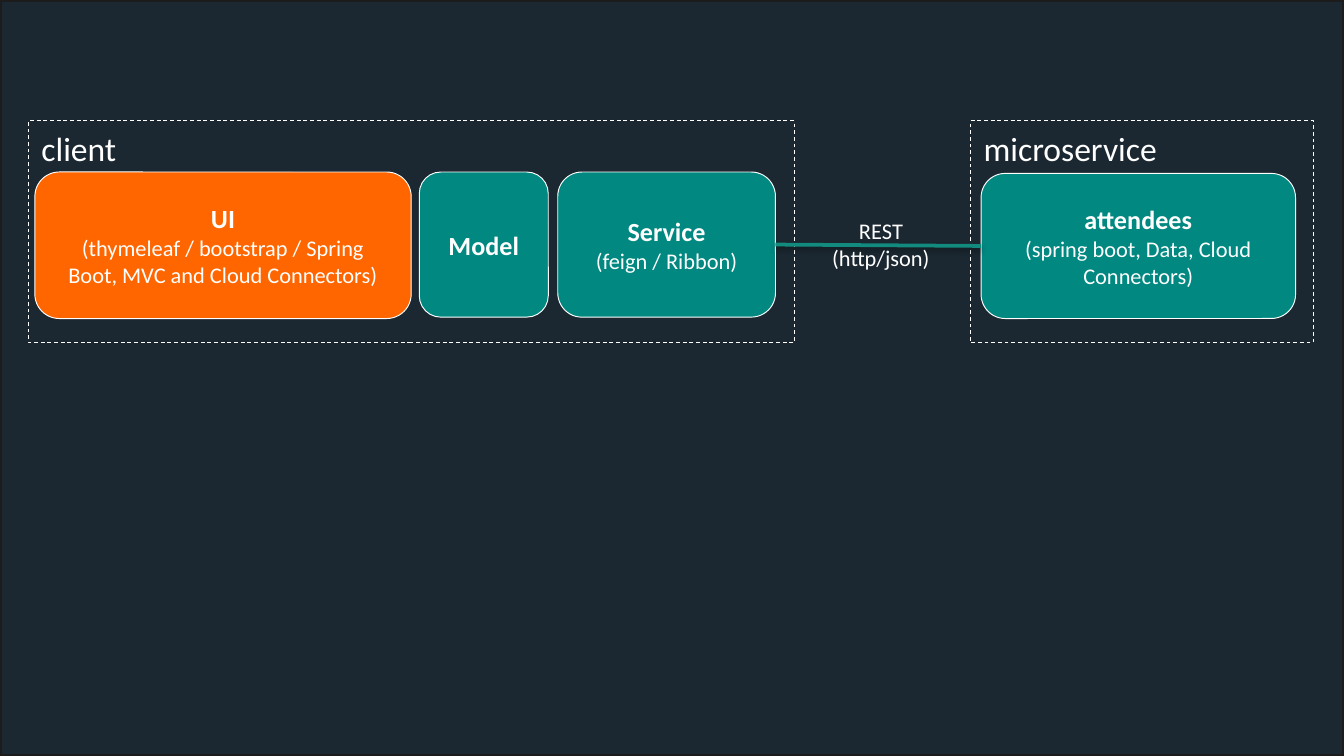
import pptx
import pptx.util
import pptx.dml.color
import pptx.enum.dml
import pptx.enum.shapes
import pptx.enum.text
import pptx.oxml
import pptx.oxml.ns

Inches, Pt = pptx.util.Inches, pptx.util.Pt
Shape = pptx.enum.shapes.MSO_SHAPE
Align = pptx.enum.text.PP_ALIGN
Anchor = pptx.enum.text.MSO_ANCHOR

HUES = {"night": "1B2831", "edge": "1C1C1C", "teal": "008881",
        "link": "138A7E", "orange": "FF6600", "white": "FFFFFF"}
HEAD = {"size": Pt(14), "bold": True}
BODY = {"size": Pt(12), "bold": False}
TITLE = {"size": Pt(18), "bold": False}
WIDE = 10
HIGH = WIDE * 9 / 16


def hue(name):
    """Return the colour of that name."""
    return pptx.dml.color.RGBColor.from_string(HUES[name])


def write(frame, lines, align, anchor, wrap=True):
    """Fill a text frame with (text, format) paragraphs."""
    frame.word_wrap = wrap
    frame.vertical_anchor = anchor
    for i, (text, form) in enumerate(lines):
        para = frame.add_paragraph() if i else frame.paragraphs[0]
        para.alignment = align
        run = para.add_run()
        run.text = text
        for key, value in {"name": "Calibri", **form}.items():
            setattr(run.font, key, value)
        run.font.color.rgb = hue("white")


def block(slide, kind, box, fill=None, edge="white", width=0.5):
    """Draw a flat outlined shape in box, with or without a fill."""
    shape = slide.shapes.add_shape(kind, *map(Inches, box))
    shape.shadow.inherit = False
    if fill:
        shape.fill.solid()
        shape.fill.fore_color.rgb = hue(fill)
    else:
        shape.fill.background()
    shape.line.color.rgb = hue(edge)
    shape.line.width = Pt(width)
    return shape


def group(slide, box, title, cards):
    """Draw cards, placed from the box corner, then the dashed frame."""
    left, top = box[:2]
    for x, y, w, h, fill, *texts in cards:
        card = block(slide, Shape.ROUNDED_RECTANGLE,
                     (left + x, top + y, w, h), fill)
        write(card.text_frame, zip(texts, (HEAD, BODY)),
              Align.CENTER, Anchor.MIDDLE)
    frame = block(slide, Shape.RECTANGLE, box)
    frame.line.dash_style = pptx.enum.dml.MSO_LINE.DASH
    write(frame.text_frame, [(title, TITLE)], Align.LEFT, Anchor.TOP)


def bridge(slide, box, lines):
    """Draw the shadowed link across box, with its label in the middle."""
    x, y, w, h = box
    link = slide.shapes.add_connector(
        pptx.enum.shapes.MSO_CONNECTOR.STRAIGHT,
        *map(Inches, (x, y, x + w, y + h)))
    link.line.color.rgb = hue("link")
    link.line.width = Pt(2)
    link._element.spPr.append(pptx.oxml.parse_xml(
        f'<a:effectLst {pptx.oxml.ns.nsdecls("a")}>'
        f'<a:outerShdw blurRad="{Pt(3.1)}" dist="{Pt(1.6)}" dir="5400000" '
        'rotWithShape="0"><a:srgbClr val="000000"><a:alpha val="38000"/>'
        '</a:srgbClr></a:outerShdw></a:effectLst>'))
    label = slide.shapes.add_textbox(
        *map(Inches, (x + 0.25, y - 0.25, 1.07, 0.5)))
    write(label.text_frame, [(text, BODY) for text in lines],
          Align.CENTER, Anchor.TOP, wrap=False)
    label.text_frame.auto_size = pptx.enum.text.MSO_AUTO_SIZE.SHAPE_TO_FIT_TEXT


def main():
    """Build and save the slide."""
    deck = pptx.Presentation()
    deck.slide_width, deck.slide_height = Inches(WIDE), Inches(HIGH)
    slide = deck.slides.add_slide(deck.slide_layouts[6])
    block(slide, Shape.RECTANGLE, (0, 0, WIDE, HIGH), "night", "edge", 2)
    group(slide, (0.21, 0.9, 5.7, 1.65), "client", [
        (0.05, 0.38, 2.8, 1.09, "orange", "UI",
         "(thymeleaf / bootstrap / Spring Boot, MVC and Cloud Connectors)"),
        (2.91, 0.38, 0.96, 1.08, "teal", "Model"),
        (3.94, 0.38, 1.62, 1.08, "teal", "Service", "(feign / Ribbon)")])
    group(slide, (7.22, 0.9, 2.55, 1.65), "microservice", [
        (0.08, 0.39, 2.34, 1.08, "teal", "attendees",
         "(spring boot, Data, Cloud Connectors)")])
    bridge(slide, (5.77, 1.82, 1.53, 0.01), ("REST", "(http/json)"))
    deck.save("out.pptx")


main()
